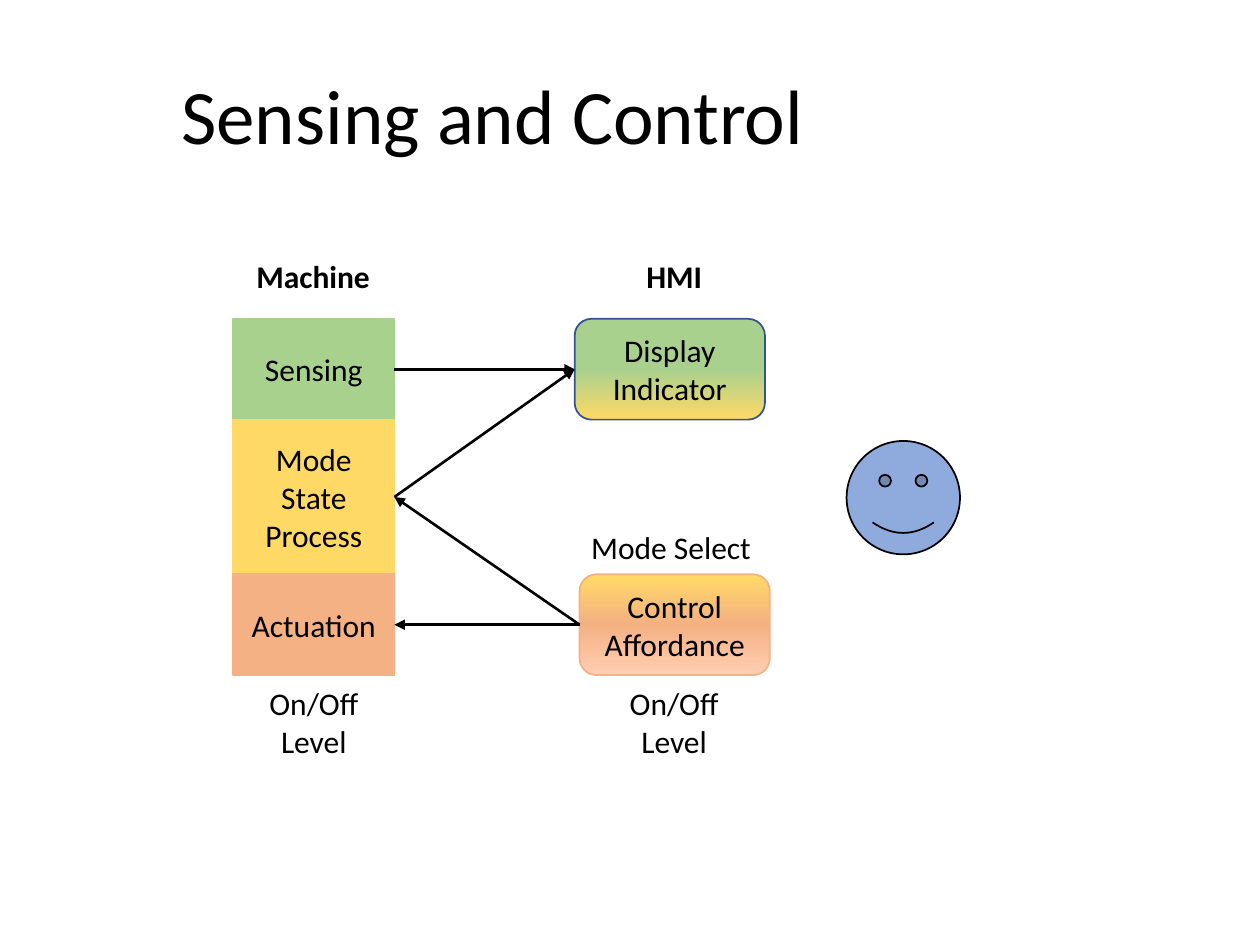
import copy

import pptx
import pptx.dml.color
import pptx.enum.shapes
import pptx.enum.text
import pptx.oxml
import pptx.oxml.ns
import pptx.util

Pt = pptx.util.Pt
RGBColor = pptx.dml.color.RGBColor
SHAPE = pptx.enum.shapes.MSO_SHAPE
ALIGN = pptx.enum.text.PP_ALIGN
ANCHOR = pptx.enum.text.MSO_ANCHOR
AUTO_SIZE = pptx.enum.text.MSO_AUTO_SIZE

BLACK = RGBColor(0x00, 0x00, 0x00)
GREEN = RGBColor(0xA9, 0xD1, 0x8E)
YELLOW = RGBColor(0xFF, 0xD9, 0x66)
ORANGE = RGBColor(0xF4, 0xB1, 0x83)
PEACH = RGBColor(0xFF, 0xCE, 0xB3)
BLUE = RGBColor(0x8F, 0xAA, 0xDC)
NAVY = RGBColor(0x32, 0x54, 0x91)

BODY = {"name": "Calibri", "size": Pt(18), "bold": False}
HEADING = {**BODY, "bold": True}
TITLE = {**BODY, "size": Pt(44)}

LEFT_SITE, RIGHT_SITE = 1, 3


def write(frame, lines, style, align):
    for index, line in enumerate(lines):
        paragraph = frame.add_paragraph() if index else frame.paragraphs[0]
        paragraph.alignment = align
        run = paragraph.add_run()
        run.text = line
        for key, value in style.items():
            setattr(run.font, key, value)
        run.font.color.rgb = BLACK


def add_label(slide, box, lines, style=BODY, align=ALIGN.CENTER):
    frame = slide.shapes.add_textbox(*map(Pt, box)).text_frame
    frame.word_wrap = False
    frame.auto_size = AUTO_SIZE.SHAPE_TO_FIT_TEXT
    write(frame, lines, style, align)


def fill_upward(shape, colors):
    """Blend the colours evenly from the bottom edge to the top."""
    shape.fill.gradient()
    shape.fill.gradient_angle = 90
    stops = shape._element.spPr.find(".//" + pptx.oxml.ns.qn("a:gsLst"))
    while len(stops) < len(colors):
        stops.append(copy.deepcopy(stops[0]))
    for index, (stop, color) in enumerate(zip(shape.fill.gradient_stops, colors)):
        stop.position = index / (len(colors) - 1)
        stop.color.rgb = color


def add_block(slide, kind, box, colors, outline, text=None):
    block = slide.shapes.add_shape(kind, *map(Pt, box))
    block.shadow.inherit = False
    if len(colors) > 1:
        fill_upward(block, colors)
    else:
        block.fill.solid()
        block.fill.fore_color.rgb = colors[0]
    block.line.color.rgb = outline
    block.line.width = Pt(1)
    if text:
        block.text_frame.word_wrap = True
        block.text_frame.vertical_anchor = ANCHOR.MIDDLE
        write(block.text_frame, [text], BODY, ALIGN.CENTER)
    return block


def add_arrow(slide, source, source_site, target, target_site):
    arrow = slide.shapes.add_connector(pptx.enum.shapes.MSO_CONNECTOR.STRAIGHT, 0, 0, 0, 0)
    arrow.begin_connect(source, source_site)
    arrow.end_connect(target, target_site)
    arrow.line.color.rgb = BLACK
    arrow.line.width = Pt(1.5)
    line = arrow.line._get_or_add_ln()
    pptx.oxml.ns.qn("a:tailEnd")
    tail = line.makeelement(pptx.oxml.ns.qn("a:tailEnd"), {"type": "triangle"})
    line.append(tail)
    properties = arrow._element.spPr
    properties.append(properties.makeelement(pptx.oxml.ns.qn("a:effectLst"), {}))


def add_title(slide, box, text):
    frame = slide.shapes.add_textbox(*map(Pt, box)).text_frame
    frame.word_wrap = True
    frame.vertical_anchor = ANCHOR.MIDDLE
    write(frame, [text], TITLE, ALIGN.LEFT)
    frame.paragraphs[0].line_spacing = 0.9


def add_machine(slide, box):
    """Stack the three machine layers, with labels above and below."""
    left, top, width, height = box
    end_height = 57.6
    layers = [
        ("Sensing", GREEN, end_height),
        ("Mode State Process", YELLOW, height - 2 * end_height),
        ("Actuation", ORANGE, end_height),
    ]
    blocks = []
    layer_top = top
    for text, color, layer_height in layers:
        layer_box = (left, layer_top, width, layer_height)
        blocks.append(add_block(slide, SHAPE.RECTANGLE, layer_box, [color], color, text))
        layer_top += layer_height
    add_label(slide, (left + 6.2, top - 38.9, 80, 29), ["Machine"], HEADING, ALIGN.LEFT)
    add_label(slide, (left + 13, top + height + 1.4, 66.2, 51), ["On/Off", "Level"])
    return blocks


def add_hmi(slide, box):
    """Place the display at the top and the control at the bottom."""
    left, top, width, height = box
    block_width, block_height = 108.7, 57.6
    control_top = top + height - block_height
    display = add_block(slide, SHAPE.ROUNDED_RECTANGLE, (left, top, block_width, block_height),
                        [YELLOW, GREEN, GREEN], NAVY, "Display Indicator")
    control = add_block(slide, SHAPE.ROUNDED_RECTANGLE,
                        (left + width - block_width, control_top, block_width, block_height),
                        [PEACH, ORANGE, YELLOW], ORANGE, "Control Affordance")
    add_label(slide, (left + 33.8, top - 38.9, 46.8, 29), ["HMI"], HEADING, ALIGN.LEFT)
    add_label(slide, (left + 1.4, control_top - 30.1, 107.3, 29), ["Mode Select"])
    add_label(slide, (left + 23.7, top + height + 1.4, 66.2, 51), ["On/Off", "Level"])
    return display, control


deck = pptx.Presentation()
deck.slide_width, deck.slide_height = Pt(720), Pt(540)
slide = deck.slides.add_slide(deck.slide_layouts[6])

add_title(slide, (96.5, 28.8, 574.5, 79.2), "Sensing and Control")
sensing, process, actuation = add_machine(slide, (133.2, 182.2, 92.2, 203.6))
display, control = add_hmi(slide, (328.4, 182.2, 111.5, 203.6))

# Signals between machine and interface
for source, source_site, target, target_site in [
    (sensing, RIGHT_SITE, display, LEFT_SITE),
    (process, RIGHT_SITE, display, LEFT_SITE),
    (control, LEFT_SITE, process, RIGHT_SITE),
    (control, LEFT_SITE, actuation, RIGHT_SITE),
]:
    add_arrow(slide, source, source_site, target, target_site)

# Operator
add_block(slide, SHAPE.SMILEY_FACE, (483.8, 252, 64.8, 64.8), [BLUE], BLACK)

deck.save("out.pptx")
